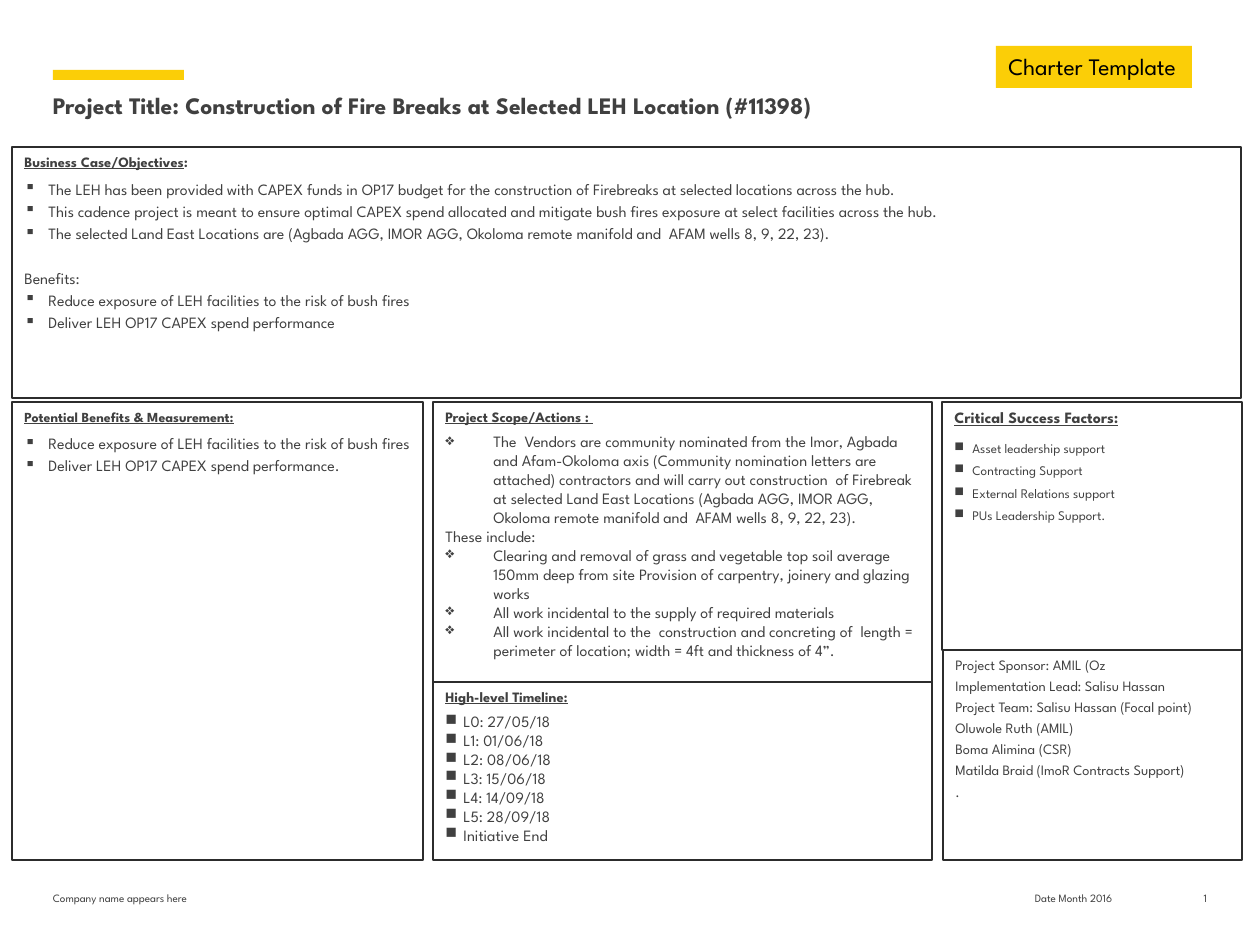
from pptx import Presentation, util as u
from pptx.dml.color import RGBColor
from pptx.enum import shapes, text
from lxml import etree

PX = 914400 / 126
FONT = "League Spartan"
HUE = {"ink": "404040", "edge": "2C2C2C", "gold": "FBCE07",
       "white": "FFFFFF", "black": "000000"}
ALIGN = {"l": text.PP_ALIGN.LEFT, "c": text.PP_ALIGN.CENTER,
         "r": text.PP_ALIGN.RIGHT, "j": text.PP_ALIGN.JUSTIFY}

# Paragraph styles
HEAD = dict(size=8.2, bold=True, under=True, align="j", after=3.8)
BODY = dict(size=9)
LOOSE = dict(size=9, ratio=1.13, after=0.5)
DOT = dict(LOOSE, mark="▪", hang=24)
STAR = dict(BODY, mark="❖", hang=48)
BOX = dict(BODY, mark="■", hang=18)
WIN = dict(BOX, size=7.5, before=3.75)
TEAM = dict(size=8.2, before=2.2)
FOOT = dict(size=6.4)

# Panels: place in px, then blocks of (style, lines)
PANELS = [
    ((433, 402, 499, 280), [
        (HEAD, ["Project Scope/Actions : "]),
        (STAR, ["The  Vendors are community nominated from the Imor, Agbada and "
                "Afam-Okoloma axis (Community nomination letters are attached) "
                "contractors and will carry out construction  of Firebreak at "
                "selected Land East Locations (Agbada AGG, IMOR AGG, Okoloma "
                "remote manifold and  AFAM wells 8, 9, 22, 23)."]),
        (BODY, ["These include:"]),
        (STAR, ["Clearing and removal of grass and vegetable top soil average "
                "150mm deep from site Provision of carpentry, joinery and "
                "glazing works",
                "All work incidental to the supply of required materials",
                "All work incidental to the  construction and concreting of  "
                "length = perimeter of location; width = 4ft and thickness "
                "of 4”."])]),
    ((433, 682, 499, 178), [
        (HEAD, ["High-level Timeline:"]),
        (BOX, ["L0: 27/05/18", "L1: 01/06/18", "L2: 08/06/18", "L3: 15/06/18",
               "L4: 14/09/18", "L5: 28/09/18", "Initiative End"])]),
    ((942, 402, 300, 248), [
        (dict(HEAD, size=9), ["Critical Success Factors:"]),
        (WIN, ["Asset leadership support", "Contracting Support",
               "External Relations support", "PUs Leadership Support."])]),
    ((12, 402, 411, 458), [
        (dict(HEAD, size=7.9), ["Potential Benefits & Measurement:"]),
        (DOT, ["Reduce exposure of LEH facilities to the risk of bush fires",
               "Deliver LEH OP17 CAPEX spend performance."])]),
    ((943, 650, 299, 210), [
        (TEAM, ["Project Sponsor: AMIL (Oz", "Implementation Lead: Salisu Hassan",
                "Project Team: Salisu Hassan (Focal point)",
                "Oluwole Ruth (AMIL)", "Boma Alimina (CSR)",
                "Matilda Braid (ImoR Contracts Support)", "."])]),
    ((12, 147, 1229, 251), [
        (dict(HEAD, tail=":"), ["Business Case/Objectives"]),
        (DOT, ["The LEH has been provided with CAPEX funds in OP17 budget for "
               "the construction of Firebreaks at selected locations across "
               "the hub.",
               "This cadence project is meant to ensure optimal CAPEX spend "
               "allocated and mitigate bush fires exposure at select "
               "facilities across the hub.",
               "The selected Land East Locations are (Agbada AGG, IMOR AGG, "
               "Okoloma remote manifold and  AFAM wells 8, 9, 22, 23)."]),
        (dict(LOOSE, before=12.7), ["Benefits:"]),
        (DOT, ["Reduce exposure of LEH facilities to the risk of bush fires",
               "Deliver LEH OP17 CAPEX spend performance"])]),
]

# Free text: place, style, line
LABELS = [
    ((53, 91, 1154, 53), dict(size=13.5, bold=True),
     "Project Title: Construction of Fire Breaks at Selected LEH Location (#11398)"),
    ((53, 891, 348, 33), FOOT, "Company name appears here"),
    ((999, 891, 149, 33), dict(FOOT, align="c"), "Date Month 2016"),
    ((1171, 891, 36, 33), dict(FOOT, align="r"), "1"),
]


def emu(px):
    return round(px * PX)


def rgb(name):
    return RGBColor.from_string(HUE[name])


def write(para, line, size=9, bold=False, under=False, color="ink", align="l",
          before=0, after=0, ratio=1.0, mark=None, hang=0, tail=""):
    para.alignment = ALIGN[align]
    para.space_before, para.space_after = u.Pt(before), u.Pt(after)
    para.line_spacing = ratio
    for part, line_on in ((line, under), (tail, False)):
        if part:
            run = para.add_run()
            run.text = part
            font = run.font
            font.name, font.size, font.bold = FONT, u.Pt(size), bold
            font.underline = line_on
            font.color.rgb = rgb(color)
    if mark:
        prop = para._p.get_or_add_pPr()
        prop.set("marL", str(emu(hang)))
        prop.set("indent", str(-emu(hang)))
        space = prop.nsmap["a"]
        etree.SubElement(prop, f"{{{space}}}buChar").set("char", mark)


def fill_text(frame, blocks):
    frame.word_wrap = True
    frame.vertical_anchor = text.MSO_ANCHOR.TOP
    rows = [(style, line) for style, lines in blocks for line in lines]
    for i, (style, line) in enumerate(rows):
        para = frame.add_paragraph() if i else frame.paragraphs[0]
        write(para, line, **style)


def add_rect(slide, place, fill, edge=None):
    rect = slide.shapes.add_shape(shapes.MSO_SHAPE.RECTANGLE, *map(emu, place))
    rect.shadow.inherit = False
    rect.fill.solid()
    rect.fill.fore_color.rgb = rgb(fill)
    if edge:
        rect.line.color.rgb = rgb(edge)
        rect.line.width = u.Pt(0.75)
    else:
        rect.line.fill.background()
    return rect


def main():
    deck = Presentation()
    deck.slide_width, deck.slide_height = u.Inches(10), u.Inches(7.5)
    slide = deck.slides.add_slide(deck.slide_layouts[6])

    # Gold bar, title and footer
    add_rect(slide, (53, 70, 131, 10), "gold")
    for place, style, line in LABELS:
        frame = slide.shapes.add_textbox(*map(emu, place)).text_frame
        frame.margin_left = frame.margin_right = 0
        frame.margin_top = frame.margin_bottom = 0
        fill_text(frame, [(style, [line])])

    # Charter panels
    for place, blocks in PANELS:
        fill_text(add_rect(slide, place, "white", "edge").text_frame, blocks)

    # Gold tag
    tag = add_rect(slide, (996, 46, 196, 42), "gold")
    fill_text(tag.text_frame,
              [(dict(size=13.5, color="black"), ["Charter Template"])])

    deck.save("out.pptx")


if __name__ == "__main__":
    main()
